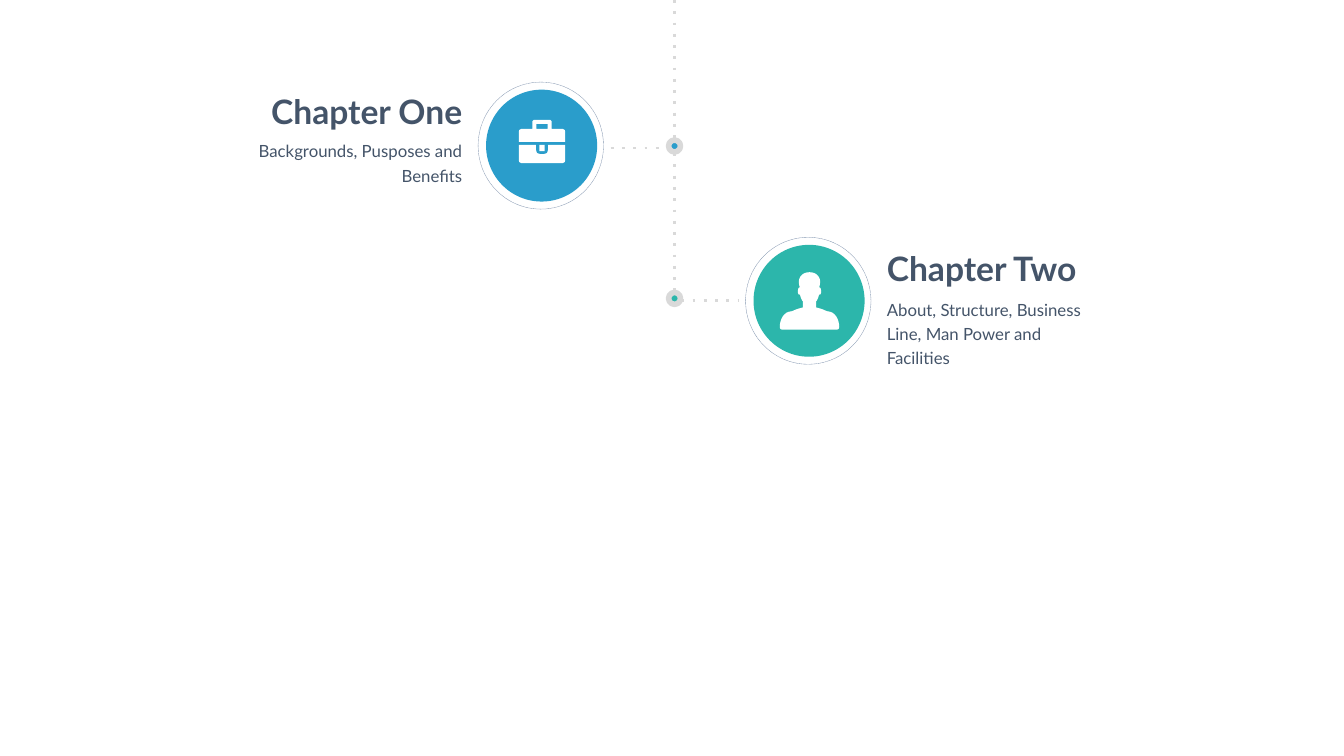
from lxml import etree
from pptx import Presentation
from pptx.dml.color import RGBColor
from pptx.enum.dml import MSO_LINE
from pptx.enum.shapes import MSO_CONNECTOR, MSO_SHAPE
from pptx.enum.text import MSO_AUTO_SIZE, PP_ALIGN
from pptx.oxml.ns import qn
from pptx.util import Cm, Pt

OVAL = MSO_SHAPE.OVAL
STRAIGHT = MSO_CONNECTOR.STRAIGHT
LEFT, RIGHT = PP_ALIGN.LEFT, PP_ALIGN.RIGHT

THEME = {
    "font": "Lato", "title": 24, "body": 12,
    "ink": "445469", "dots": "D9D9D9", "ring": "8497B0", "icon": "FFFFFF",
}

# Right halves of the icons in 0.01 inch: points, or cubic curves of six numbers.
BRIEFCASE = [
    [(0, 0), (8, 0), (9.5, 1.5), (9.5, 9), (20.5, 9), (22.5, 10), (23, 12), (23, 22), (0, 22)],
    [(0, 43), (20.5, 43), (22.5, 42), (23, 40), (23, 25), (6, 25), (6, 30), (5, 33), (2, 34), (0, 34)],
    [(0, 4), (5.5, 4), (5.5, 9), (0, 9)],
    [(0, 25), (2.5, 25), (2.5, 31), (0, 31)],
]
PERSON = [[
    (0, 0), (7, 0, 10.5, 5, 10.5, 9), (10.5, 10, 10.5, 13, 9.5, 15),
    (11.5, 15, 11.5, 18, 11.5, 20), (11.5, 21, 10.5, 23, 9.5, 22),
    (8.5, 27, 6.5, 29, 6.5, 29), (6.5, 35), (6.5, 35, 7.5, 35, 13.5, 37),
    (19.5, 40, 17.5, 38, 22.5, 40), (29.5, 44, 29.5, 54, 29.5, 54),
    (29.5, 56, 28.5, 57, 26.5, 57), (0, 57),
]]

CHAPTERS = [
    {"title": "Chapter One", "body": "Backgrounds, Pusposes and Benefits",
     "color": "2A9DCB", "side": -1, "dot_y": 3.68, "branch_y": 3.73, "badge_y": 3.67,
     "title_y": 2.16, "body_y": 3.33, "icon": BRIEFCASE, "icon_y": 3.02},
    {"title": "Chapter Two", "body": "About, Structure, Business Line, Man Power and Facilities",
     "color": "2CB6AB", "side": 1, "dot_y": 7.52, "branch_y": 7.57, "badge_y": 7.58,
     "title_y": 6.12, "body_y": 7.32, "icon": PERSON, "icon_y": 6.86},
]
AXIS_X, BADGE_OFFSET, TEXT_OFFSET = 17.0, 3.37, 5.1
ICON_UNIT = 0.0254


def color(value):
    return RGBColor.from_string(value)


def add_oval(slide, x, y, width, height, fill=None, line=None, weight=0):
    shape = slide.shapes.add_shape(
        OVAL, Cm(x - width / 2), Cm(y - height / 2), Cm(width), Cm(height))
    shape.shadow.inherit = False
    if fill:
        shape.fill.solid()
        shape.fill.fore_color.rgb = color(fill)
    else:
        shape.fill.background()
    if line:
        shape.line.color.rgb = color(line)
        shape.line.width = Pt(weight)
    else:
        shape.line.fill.background()
    return shape


def add_dotted_line(slide, x1, y1, x2, y2):
    connector = slide.shapes.add_connector(STRAIGHT, Cm(x1), Cm(y1), Cm(x2), Cm(y2))
    connector.line.color.rgb = color(THEME["dots"])
    connector.line.width = Pt(2)
    connector.line.dash_style = MSO_LINE.ROUND_DOT
    for dash in connector.element.iter(qn("a:prstDash")):
        dash.set("val", "dot")
    etree.SubElement(connector.element.find(qn("p:spPr")), qn("a:effectLst"))


def add_text(slide, text, side, top, width, height, size, is_title):
    edge = AXIS_X + side * TEXT_OFFSET
    left = edge if side > 0 else edge - width
    box = slide.shapes.add_textbox(Cm(left), Cm(top), Cm(width), Cm(height))
    frame = box.text_frame
    frame.word_wrap = not is_title
    frame.auto_size = MSO_AUTO_SIZE.SHAPE_TO_FIT_TEXT
    frame.text = text
    paragraph = frame.paragraphs[0]
    paragraph.alignment = LEFT if side > 0 else RIGHT
    if not is_title:
        paragraph.line_spacing = 1.2
        paragraph.space_before = Pt(8.5)
    font = paragraph.runs[0].font
    font.name, font.size, font.bold = THEME["font"], Pt(size), is_title
    font.color.rgb = color(THEME["ink"])


def trace(half):
    """Flatten one half outline and mirror it into a closed contour."""
    points = []
    for step in half:
        if len(step) == 2:
            points.append(step)
            continue
        x0, y0 = points[-1]
        x1, y1, x2, y2, x3, y3 = step
        for t in (k / 8 for k in range(1, 9)):
            a, b, c, d = (1 - t) ** 3, 3 * t * (1 - t) ** 2, 3 * t * t * (1 - t), t ** 3
            points.append((a * x0 + b * x1 + c * x2 + d * x3,
                           a * y0 + b * y1 + c * y2 + d * y3))
    return points + [(-x, y) for x, y in reversed(points)]


def add_icon(slide, halves, x, y):
    contours = [[(Cm(x + px * ICON_UNIT), Cm(y + py * ICON_UNIT)) for px, py in trace(half)]
                for half in halves]
    builder = slide.shapes.build_freeform(*contours[0][0])
    for index, contour in enumerate(contours):
        if index:
            builder.move_to(*contour[0])
        builder.add_line_segments(contour[1:], close=True)
    shape = builder.convert_to_shape()
    shape.shadow.inherit = False
    shape.fill.solid()
    shape.fill.fore_color.rgb = color(THEME["icon"])
    shape.line.fill.background()


def add_chapter(slide, chapter, stem_top):
    side, dot_y, branch_y = chapter["side"], chapter["dot_y"], chapter["branch_y"]
    badge_x, badge_y = AXIS_X + side * BADGE_OFFSET, chapter["badge_y"]
    add_oval(slide, badge_x + 0.02, badge_y, 2.8, 2.82, fill=chapter["color"])
    ring = add_oval(slide, badge_x, badge_y, 3.16, 3.2, line=THEME["ring"], weight=0.25)
    ring.line.dash_style = MSO_LINE.SQUARE_DOT
    add_dotted_line(slide, AXIS_X, stem_top, AXIS_X, dot_y - 0.2)
    add_dotted_line(slide, *sum(sorted(
        (AXIS_X + side * reach, branch_y) for reach in (0.17, 1.61)), ()))
    add_oval(slide, AXIS_X, dot_y, 0.3, 0.3, chapter["color"], THEME["dots"], 4)
    add_text(slide, chapter["title"], side, chapter["title_y"], 5.44, 1.27, THEME["title"], True)
    add_text(slide, chapter["body"], side, chapter["body_y"], 6.07, 1.5, THEME["body"], False)
    add_icon(slide, chapter["icon"], badge_x + 0.03, chapter["icon_y"])


def main():
    presentation = Presentation()
    presentation.slide_width, presentation.slide_height = Cm(33.87), Cm(19.05)
    slide = presentation.slides.add_slide(presentation.slide_layouts[6])
    stem_top = 0
    for chapter in CHAPTERS:
        add_chapter(slide, chapter, stem_top)
        stem_top = chapter["dot_y"] + 0.18
    presentation.save("out.pptx")


if __name__ == "__main__":
    main()
